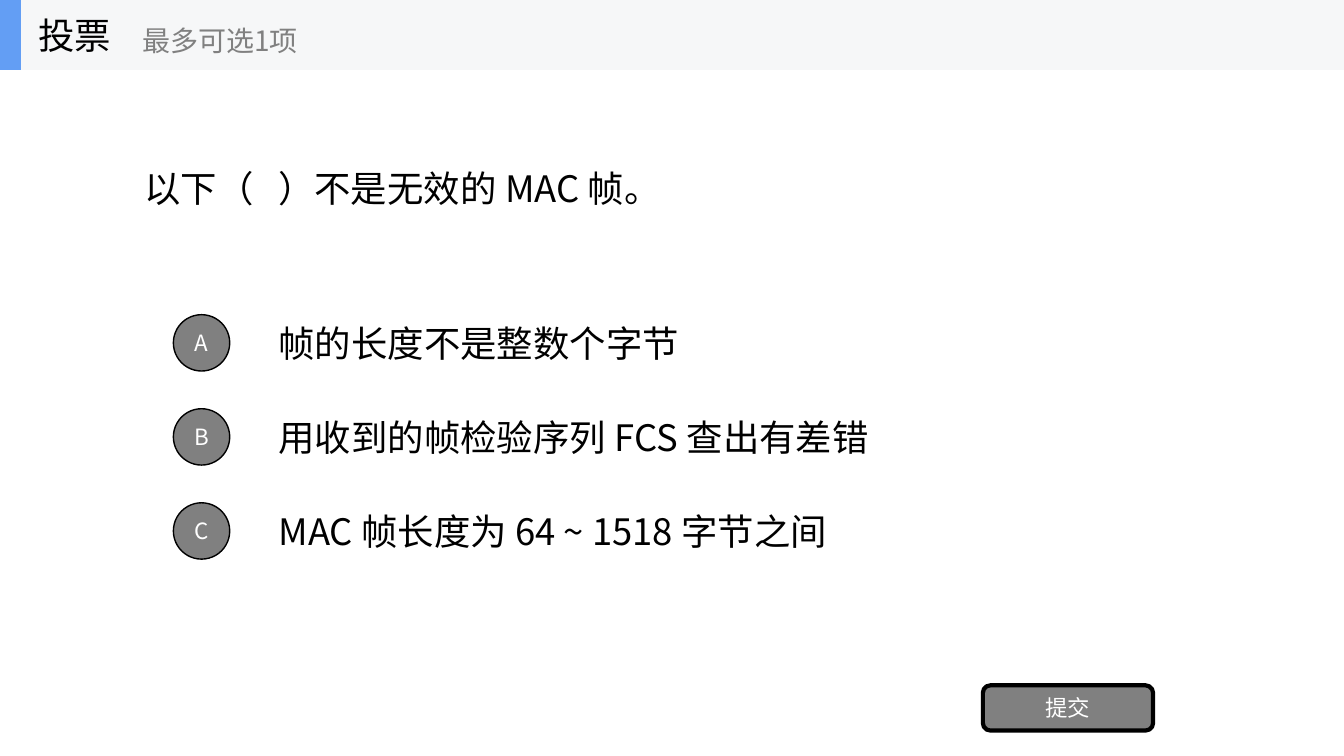
from dataclasses import dataclass

from lxml import etree
from pptx import Presentation
from pptx.dml.color import RGBColor
from pptx.enum.shapes import MSO_SHAPE
from pptx.enum.text import MSO_ANCHOR, PP_ALIGN
from pptx.oxml.ns import qn
from pptx.util import Cm, Pt

OVAL = MSO_SHAPE.OVAL
RECTANGLE = MSO_SHAPE.RECTANGLE
ROUNDED = MSO_SHAPE.ROUNDED_RECTANGLE
MIDDLE = MSO_ANCHOR.MIDDLE
LEFT = PP_ALIGN.LEFT
CENTER = PP_ALIGN.CENTER


@dataclass(frozen=True)
class Theme:
    """Colours, font and type sizes of the slide."""

    font: str = "Noto Sans CJK SC"
    black: str = "000000"
    white: str = "FFFFFF"
    grey: str = "808080"
    bar: str = "F6F7F8"
    accent: str = "639EF4"
    body: int = 26
    hint: int = 20
    label: int = 16


THEME = Theme()
SLIDE_WIDTH, SLIDE_HEIGHT = 33.87, 19.05
HEADER_HEIGHT = 1.76
OPTION_TOP, OPTION_HEIGHT, OPTION_STEP = 7.75, 1.78, 2.37
BADGE_SIZE = 1.42
OPTIONS = [
    ("A", "帧的长度不是整数个字节"),
    ("B", "用收到的帧检验序列 FCS 查出有差错"),
    ("C", "MAC 帧长度为 64 ~ 1518 字节之间"),
]


def write_text(shape, text, size, color, alignment):
    """Write one vertically centred paragraph into a shape."""
    frame = shape.text_frame
    frame.text = text
    frame.word_wrap = True
    frame.vertical_anchor = MIDDLE
    paragraph = frame.paragraphs[0]
    paragraph.alignment = alignment
    for run in paragraph.runs:
        run.font.size = Pt(size)
        run.font.name = THEME.font
        run.font.color.rgb = RGBColor.from_string(color)
        east_asian = etree.SubElement(run.font._element, qn("a:ea"))
        east_asian.set("typeface", THEME.font)


def add_label(shapes, box, text, size=THEME.body, color=THEME.black):
    """Add a left-aligned text box."""
    label = shapes.add_textbox(*map(Cm, box))
    write_text(label, text, size, color, LEFT)


def add_block(shapes, kind, box, fill):
    """Add a filled shape without outline or shadow."""
    shape = shapes.add_shape(kind, *map(Cm, box))
    shape.shadow.inherit = False
    shape.fill.solid()
    shape.fill.fore_color.rgb = RGBColor.from_string(fill)
    shape.line.fill.background()
    return shape


def add_button(shapes, kind, box, text, line_width):
    """Add a grey outlined shape with centred white text."""
    button = add_block(shapes, kind, box, THEME.grey)
    button.line.color.rgb = RGBColor.from_string(THEME.black)
    button.line.width = Pt(line_width)
    frame = button.text_frame
    frame.margin_left = frame.margin_right = 0
    frame.margin_top = frame.margin_bottom = 0
    write_text(button, text, THEME.label, THEME.white, CENTER)


def add_option(shapes, index, letter, text):
    """Add an answer with its round letter badge."""
    top = OPTION_TOP + index * OPTION_STEP
    badge_top = top + (OPTION_HEIGHT - BADGE_SIZE) / 2
    add_label(shapes, (6.77, top, 23.7, OPTION_HEIGHT), text)
    add_button(shapes, OVAL, (4.37, badge_top, BADGE_SIZE, BADGE_SIZE), letter, 1)


def add_header(slide):
    """Add the grouped title bar."""
    shapes = slide.shapes.add_group_shape().shapes
    add_block(shapes, RECTANGLE, (0, 0, SLIDE_WIDTH, HEADER_HEIGHT), THEME.bar)
    add_block(shapes, RECTANGLE, (0, 0, 0.53, HEADER_HEIGHT), THEME.accent)
    add_label(shapes, (0.71, 0, 5.28, HEADER_HEIGHT), "投票")
    add_label(shapes, (3.33, 0.3, 6.35, 1.42), "最多可选1项", THEME.hint, THEME.grey)


def main():
    """Build and save the poll slide."""
    presentation = Presentation()
    presentation.slide_width = Cm(SLIDE_WIDTH)
    presentation.slide_height = Cm(SLIDE_HEIGHT)
    slide = presentation.slides.add_slide(presentation.slide_layouts[6])
    add_label(slide.shapes, (3.39, 1.76, 27.1, 5.94), "以下（   ）不是无效的 MAC 帧。")
    for index, (letter, text) in enumerate(OPTIONS):
        add_option(slide.shapes, index, letter, text)
    add_button(slide.shapes, ROUNDED, (24.77, 17.27, 4.29, 1.14), "提交", 3)
    add_header(slide)
    presentation.save("out.pptx")


if __name__ == "__main__":
    main()
